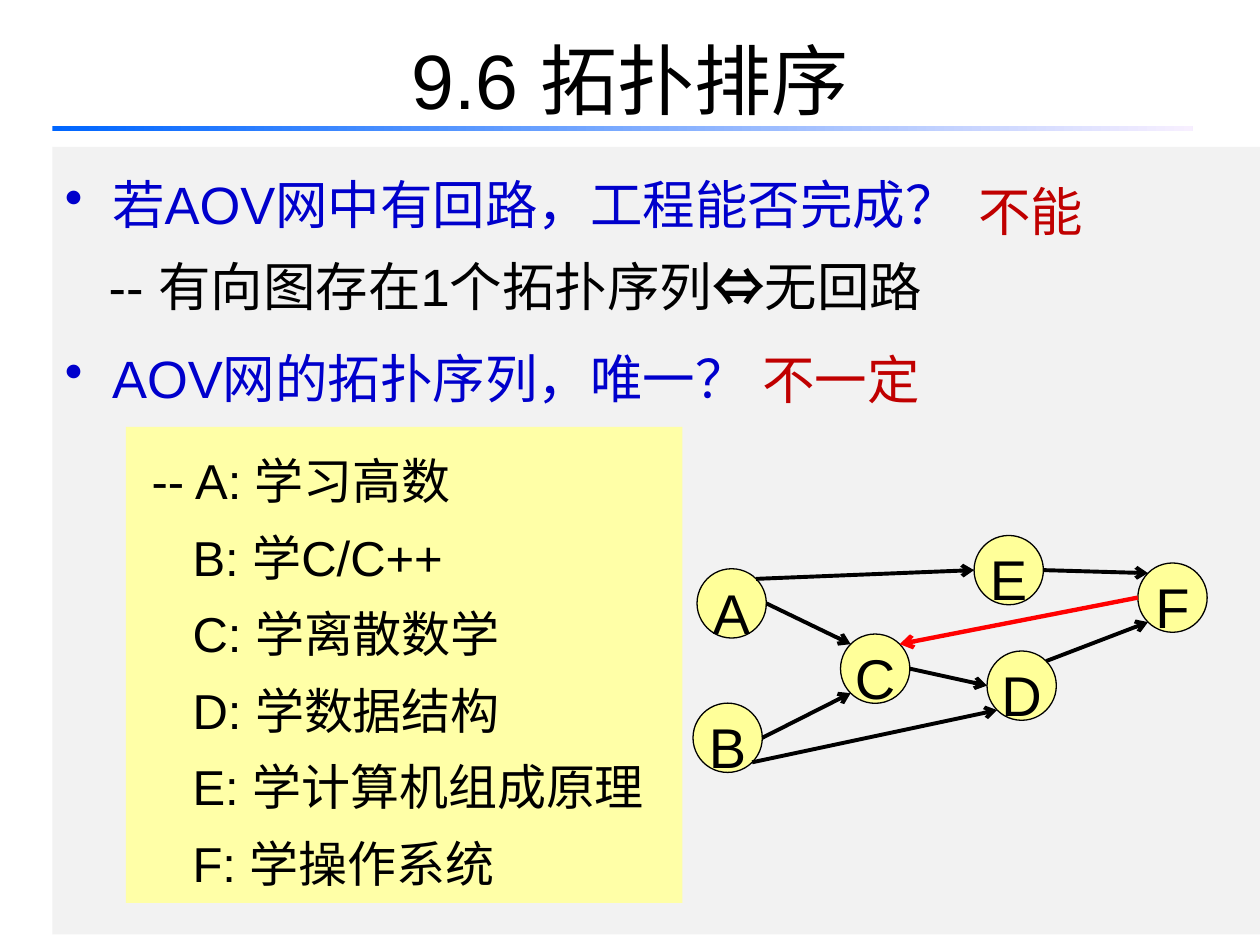
"""Build the slide on topological sorting of an AOV network."""
import math

import lxml.etree
import pptx
import pptx.dml.color
import pptx.enum.shapes
import pptx.enum.text
import pptx.oxml.ns
import pptx.util

Pt = pptx.util.Pt
RGBColor = pptx.dml.color.RGBColor
Shape = pptx.enum.shapes.MSO_SHAPE
Align = pptx.enum.text.PP_ALIGN
Anchor = pptx.enum.text.MSO_ANCHOR
qn = pptx.oxml.ns.qn

BLACK = RGBColor(0x00, 0x00, 0x00)
BLUE = RGBColor(0x00, 0x00, 0xCC)
ANSWER_RED = RGBColor(0xC0, 0x00, 0x00)
EDGE_RED = RGBColor(0xFF, 0x00, 0x00)
RULE_START = RGBColor(0x00, 0x66, 0xFF)
RULE_END = RGBColor(0xF7, 0xEF, 0xFF)
PANEL = RGBColor(0xF2, 0xF2, 0xF2)
NODE = RGBColor(0xFF, 0xFF, 0x99)
COURSE_PANEL = RGBColor(0xFF, 0xFF, 0xA7)

NODE_SIZE = 39.6
NODES = {
    "A": (398.3, 325), "B": (396, 401.8), "C": (480.3, 362.3),
    "D": (564, 372), "E": (556.6, 306), "F": (650.2, 321.7),
}
RIGHT, LOWER_RIGHT, LOWER_LEFT, LEFT, UPPER_LEFT, UPPER_RIGHT = 0, 45, 135, 180, 225, 315
EDGES = [
    ("A", RIGHT, "C", UPPER_LEFT), ("B", RIGHT, "C", LOWER_LEFT),
    ("B", LOWER_RIGHT, "D", LOWER_LEFT), ("C", RIGHT, "D", LEFT),
    ("A", UPPER_RIGHT, "E", LEFT), ("D", UPPER_RIGHT, "F", LOWER_LEFT),
    ("E", RIGHT, "F", UPPER_LEFT),
]
COURSES = ["-- A: 学习高数", "B: 学C/C++", "C: 学离散数学",
           "D: 学数据结构", "E: 学计算机组成原理", "F: 学操作系统"]


class SlideBuilder:
    """Hold the text style and the slide being drawn."""

    font_name = "Arial"

    def __init__(self, slide):
        self.slide = slide

    def panel(self, kind, box, color=None, outline=None):
        shape = self.slide.shapes.add_shape(kind, *map(Pt, box))
        shape.shadow.inherit = False
        if color is not None:
            shape.fill.solid()
            shape.fill.fore_color.rgb = color
        if outline is None:
            shape.line.fill.background()
        else:
            shape.line.color.rgb = outline
            shape.line.width = Pt(0.75)
        shape.text_frame.vertical_anchor = Anchor.TOP
        return shape

    def rule(self, box):
        shape = self.panel(Shape.RECTANGLE, box)
        shape.fill.gradient()
        shape.fill.gradient_angle = 0
        for stop, color in zip(shape.fill.gradient_stops, (RULE_START, RULE_END)):
            stop.color.rgb = color

    def paragraph(self, frame, texts, size, color, align=Align.LEFT, spacing=1.0,
                  margin=0, bullet=False, before=0):
        first = frame.paragraphs[0]
        paragraph = frame.add_paragraph() if first.runs else first
        paragraph.alignment = align
        paragraph.line_spacing = spacing
        paragraph.space_before = Pt(before)
        properties = paragraph._p.get_or_add_pPr()
        properties.set("marL", str(Pt(margin)))
        properties.set("indent", str(Pt(-margin if bullet else 0)))
        if bullet:
            lxml.etree.SubElement(properties, qn("a:buChar")).set("char", "•")
        else:
            lxml.etree.SubElement(properties, qn("a:buNone"))
        for text in texts:
            paragraph.add_run().text = text
        paragraph.font.name = self.font_name
        paragraph.font.size = Pt(size)
        paragraph.font.color.rgb = color
        return paragraph

    def label(self, box, text, size, color, align=Align.LEFT, spacing=1.25,
              anchor=Anchor.TOP):
        frame = self.slide.shapes.add_textbox(*map(Pt, box)).text_frame
        frame.word_wrap = True
        frame.vertical_anchor = anchor
        self.paragraph(frame, [text], size, color, align, spacing)

    def node(self, name):
        box = (*NODES[name], NODE_SIZE, NODE_SIZE)
        frame = self.panel(Shape.OVAL, box, NODE, BLACK).text_frame
        frame.word_wrap = False
        frame.vertical_anchor = Anchor.MIDDLE
        self.paragraph(frame, [name], 32, BLACK, Align.CENTER, 1.25)

    def rim_point(self, name, degrees):
        left, top = NODES[name]
        radius, angle = NODE_SIZE / 2, math.radians(degrees)
        return (Pt(left + radius * (1 + math.cos(angle))),
                Pt(top + radius * (1 + math.sin(angle))))

    def edge(self, source, source_side, target, target_side, color=BLACK, width=2.25):
        connector = self.slide.shapes.add_connector(
            pptx.enum.shapes.MSO_CONNECTOR.STRAIGHT,
            *self.rim_point(source, source_side), *self.rim_point(target, target_side))
        connector.line.color.rgb = color
        connector.line.width = Pt(width)
        line = connector.line._get_or_add_ln()
        lxml.etree.SubElement(line, qn("a:tailEnd")).set("type", "arrow")
        lxml.etree.SubElement(connector._element.spPr, qn("a:effectLst"))


def main():
    presentation = pptx.Presentation()
    presentation.slide_width, presentation.slide_height = Pt(720), Pt(540)
    builder = SlideBuilder(presentation.slides.add_slide(presentation.slide_layouts[6]))

    builder.label((36, 0, 648, 90), "9.6 拓扑排序", 44, BLACK,
                  Align.CENTER, 1.0, Anchor.MIDDLE)
    builder.rule((30, 72, 651.6, 2.9))

    body = builder.panel(Shape.RECTANGLE, (30, 84, 690, 450), PANEL).text_frame
    body.word_wrap = True
    style = {"size": 30, "align": Align.JUSTIFY, "spacing": 1.3}
    builder.paragraph(body, ["若AOV网中有回路，工程能否完成？"], color=BLUE,
                      margin=27, bullet=True, **style)
    theorem = builder.paragraph(body, ["-- 有向图存在1个拓扑序列", "⇔", "无回路"],
                                color=BLACK, margin=25, **style)
    theorem.runs[1].font.bold = True
    builder.paragraph(body, ["AOV网的拓扑序列，唯一？"], color=BLUE,
                      margin=27, bullet=True, before=6, **style)

    for name in NODES:
        builder.node(name)
    for edge in EDGES:
        builder.edge(*edge)
    builder.edge("F", LEFT, "C", UPPER_RIGHT, EDGE_RED, 2.5)

    builder.label((552, 90, 96, 48), "不能", 30, ANSWER_RED)
    builder.label((428.4, 185.8, 108, 48), "不一定", 30, ANSWER_RED)

    courses = builder.panel(Shape.RECTANGLE, (72, 244, 318, 272), COURSE_PANEL).text_frame
    courses.word_wrap = True
    for course in COURSES:
        builder.paragraph(courses, [course], 28, BLACK, Align.JUSTIFY, 1.3,
                          margin=7.6 if course.startswith("--") else 31)

    presentation.save("out.pptx")


if __name__ == "__main__":
    main()
